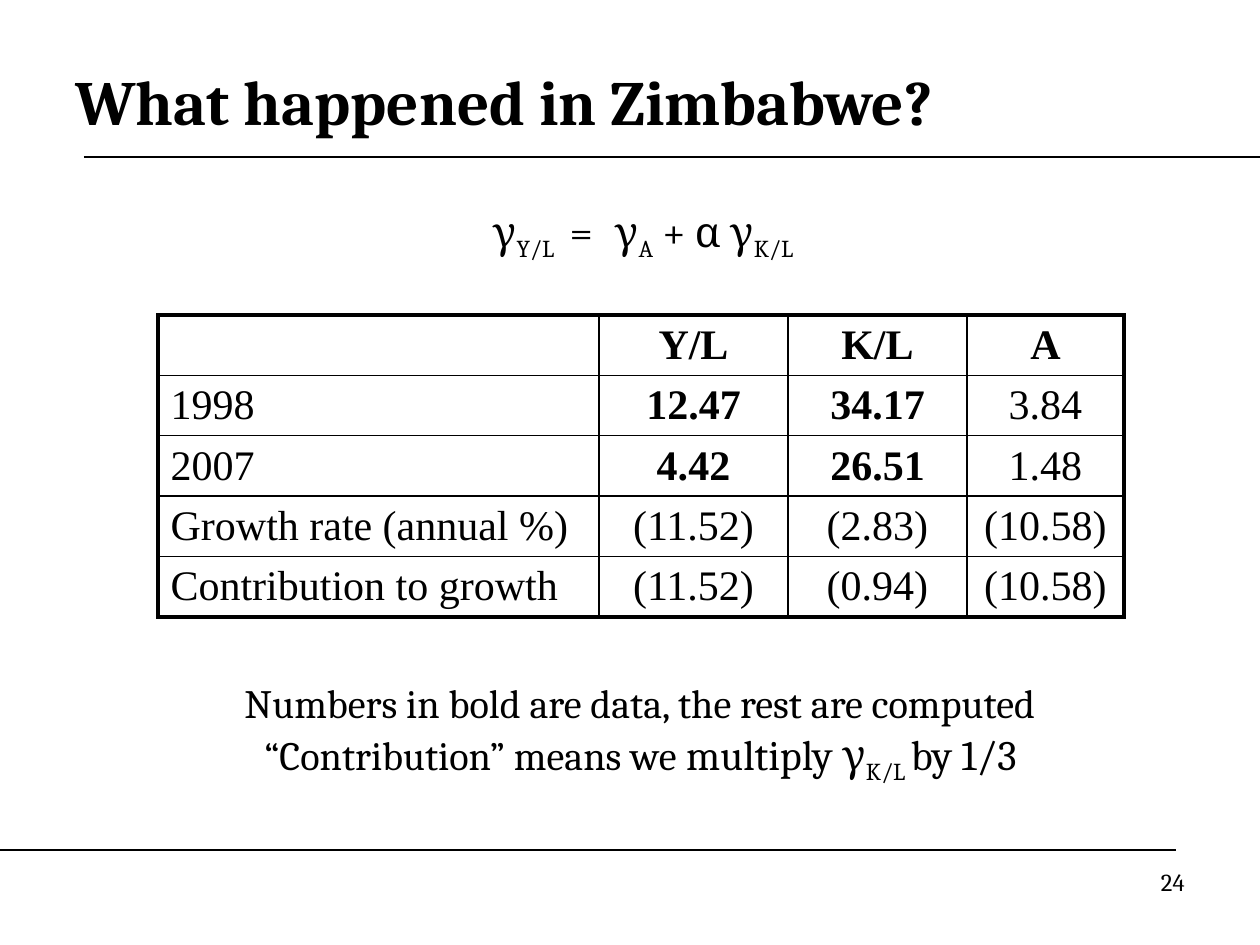
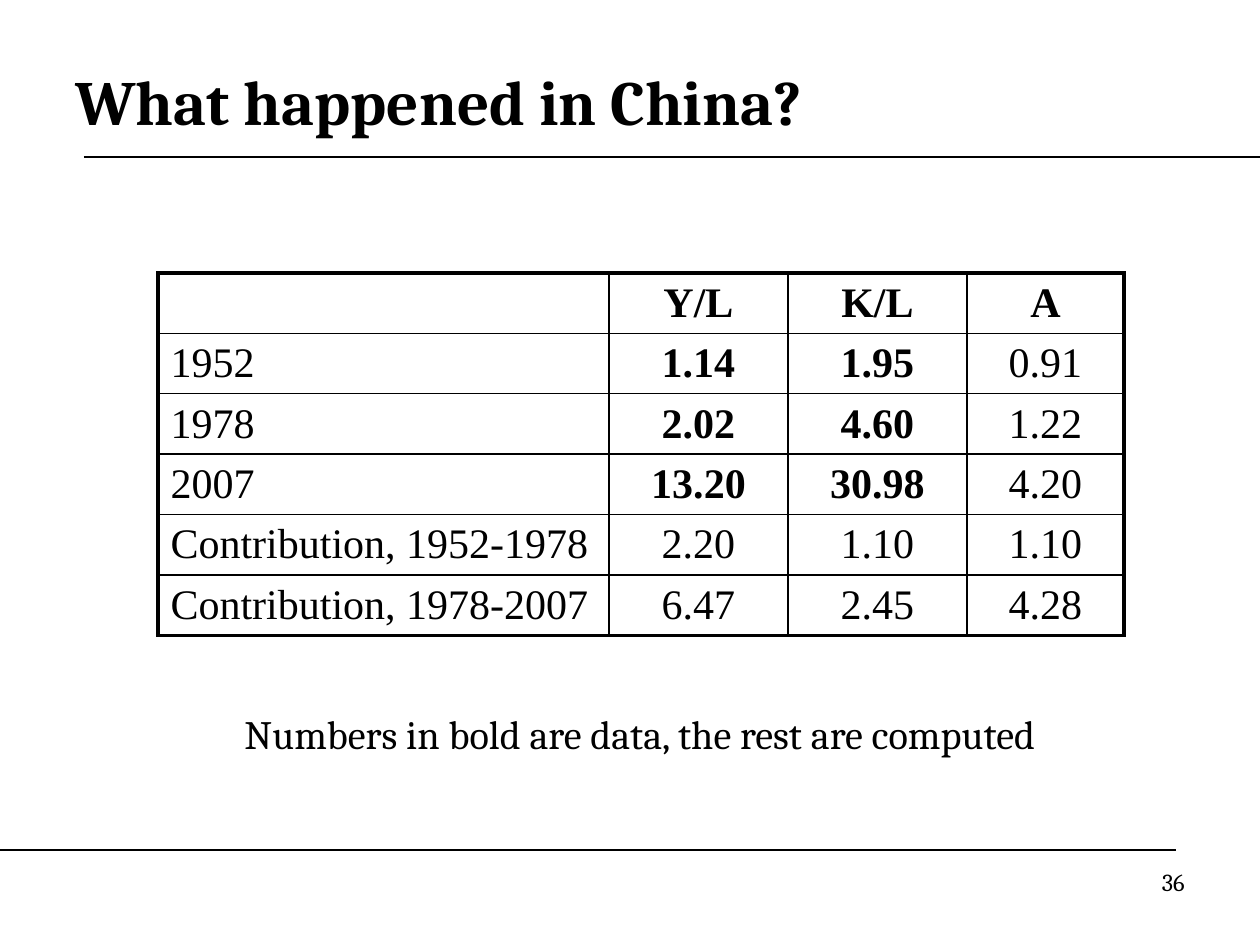
"""Build two growth-accounting slides: Zimbabwe and China."""
from lxml import etree
from pptx import Presentation, util as u
from pptx.dml.color import RGBColor
from pptx.enum import shapes, text
from pptx.oxml import ns

COLOURS = {"ink": "000000"}
SERIF, TABLE_FONT = "Cambria", "Times New Roman"
PX_PER_INCH = 126
TITLE_BOX = (63, 42, 1134, 116)
PAGE_BOX = (903, 861, 294, 66)
RULES = [((84, 157), (1260, 157)), ((0, 850), (1176, 850))]
ROW_HEIGHT = 59
OUTER_LINE, INNER_LINE = 2.25, 1
HEADINGS = ["", "Y/L", "K/L", "A"]
DATA_NOTE = "Numbers in bold are data, the rest are computed"
SUB = {"baseline": "-25000"}


def px(length):
    """Turn whole pixels into EMU."""
    return u.Emu(round(length * 914400 / PX_PER_INCH))


def ink():
    """Return the colour of text and lines."""
    return RGBColor.from_string(COLOURS["ink"])


def place(part, box):
    """Move a part to a pixel box."""
    part.left, part.top, part.width, part.height = map(px, box)


def write(frame, paragraphs, size=24, font=SERIF, bold=False, align="LEFT", anchor="TOP", gap=0):
    """Fill a frame with paragraphs, each a string or a list of (text, attributes) runs."""
    frame.word_wrap = True
    frame.vertical_anchor = getattr(text.MSO_ANCHOR, anchor)
    for index, runs in enumerate(paragraphs):
        paragraph = frame.add_paragraph() if index else frame.paragraphs[0]
        paragraph.alignment = getattr(text.PP_ALIGN, align)
        paragraph.space_before = u.Pt(gap if index else 0)
        for words, attributes in [(runs, {})] if isinstance(runs, str) else runs:
            run = paragraph.add_run()
            run.text = words
            run.font.name, run.font.size, run.font.bold = font, u.Pt(size), bold
            run.font.color.rgb = ink()
            for key, value in attributes.items():
                run.font._element.set(key, value)


def add_words(slide, box, paragraphs, **style):
    """Add a text box with formatted paragraphs."""
    write(slide.shapes.add_textbox(*map(px, box)).text_frame, paragraphs, **style)


def add_rule(slide, start, end):
    """Draw one thin horizontal rule."""
    rule = slide.shapes.add_connector(shapes.MSO_CONNECTOR.STRAIGHT, *map(px, start + end))
    rule.line.color.rgb = ink()
    rule.line.width = u.Pt(0.75)
    etree.SubElement(rule._element.spPr, ns.qn("a:effectLst"))


def add_frame(deck, title, page):
    """Start a slide with its title, two rules and page number."""
    slide = deck.slides.add_slide(deck.slide_layouts[5])
    for start, end in RULES:
        add_rule(slide, start, end)
    place(slide.shapes.title, TITLE_BOX)
    write(slide.shapes.title.text_frame, [title], size=36, bold=True, anchor="MIDDLE")
    add_words(slide, PAGE_BOX, [str(page)], size=14, align="RIGHT")
    return slide


def outline_cell(cell, outer_sides):
    """Border a cell, heavier on the sides that face outwards."""
    properties = cell._tc.get_or_add_tcPr()
    for side in "LRTB":
        width = OUTER_LINE if side in outer_sides else INNER_LINE
        line = etree.SubElement(properties, ns.qn(f"a:ln{side}"), w=str(u.Pt(width)))
        fill = etree.SubElement(line, ns.qn("a:solidFill"))
        etree.SubElement(fill, ns.qn("a:srgbClr"), val=COLOURS["ink"])
    cell.fill.background()


def add_growth_table(slide, left, top, widths, records):
    """Add the table, with headings and measured yearly data in bold."""
    rows = [HEADINGS] + records
    box = (left, top, sum(widths), ROW_HEIGHT * len(rows))
    table = slide.shapes.add_table(len(rows), len(widths), *map(px, box)).table
    table.first_row = table.horz_banding = False
    for column, width in zip(table.columns, widths):
        column.width = px(width)
    last_row, last_column = len(rows) - 1, len(widths) - 1
    for r, record in enumerate(rows):
        table.rows[r].height = px(ROW_HEIGHT)
        for c, value in enumerate(record):
            cell = table.cell(r, c)
            cell.margin_top = cell.margin_bottom = px(5)
            outer = {"L": c == 0, "R": c == last_column, "T": r == 0, "B": r == last_row}
            outline_cell(cell, [side for side, faces_out in outer.items() if faces_out])
            cell.vertical_anchor = text.MSO_ANCHOR.MIDDLE
            if value:
                measured = record[0].isdigit() and c in (1, 2)
                write(cell.text_frame, [value], font=TABLE_FONT, bold=r == 0 or measured,
                      align="CENTER" if c else "LEFT", anchor="MIDDLE")


def add_notes_below(slide, top, paragraphs):
    """Add the centred remarks under the table."""
    add_words(slide, (84, top, 1113, 116), paragraphs, size=23, align="CENTER", gap=1)


def add_zimbabwe(deck):
    """Build the Zimbabwe slide."""
    slide = add_frame(deck, "What happened in Zimbabwe?", 24)
    add_growth_table(slide, 158, 315, [441, 189, 179, 157], [
        ["1998", "12.47", "34.17", "3.84"],
        ["2007", "4.42", "26.51", "1.48"],
        ["Growth rate (annual %)", "(11.52)", "(2.83)", "(10.58)"],
        ["Contribution to growth", "(11.52)", "(0.94)", "(10.58)"],
    ])
    larger = {"sz": "2400"}
    add_notes_below(slide, 672, [DATA_NOTE, [
        ("“Contribution” means we ", {}), ("multiply γ", larger),
        ("K/L ", {**larger, **SUB}), ("by 1/3", larger)]])
    add_words(slide, (207, 199, 872, 102), [[
        ("γ", {}), ("Y/L", SUB), (" = ", {"spc": "350"}), ("γ", {}), ("A", SUB),
        (" + α γ", {}), ("K/L", SUB)]], align="CENTER")


def add_china(deck):
    """Build the China slide."""
    slide = add_frame(deck, "What happened in China?", 36)
    add_growth_table(slide, 158, 273, [451, 179, 179, 157], [
        ["1952", "1.14", "1.95", "0.91"],
        ["1978", "2.02", "4.60", "1.22"],
        ["2007", "13.20", "30.98", "4.20"],
        ["Contribution, 1952-1978", "2.20", "1.10", "1.10"],
        ["Contribution, 1978-2007", "6.47", "2.45", "4.28"],
    ])
    add_notes_below(slide, 703, [DATA_NOTE])


def main():
    """Build and save the deck."""
    deck = Presentation()
    deck.slide_width, deck.slide_height = px(1260), px(945)
    add_zimbabwe(deck)
    add_china(deck)
    deck.save("out.pptx")


if __name__ == "__main__":
    main()
